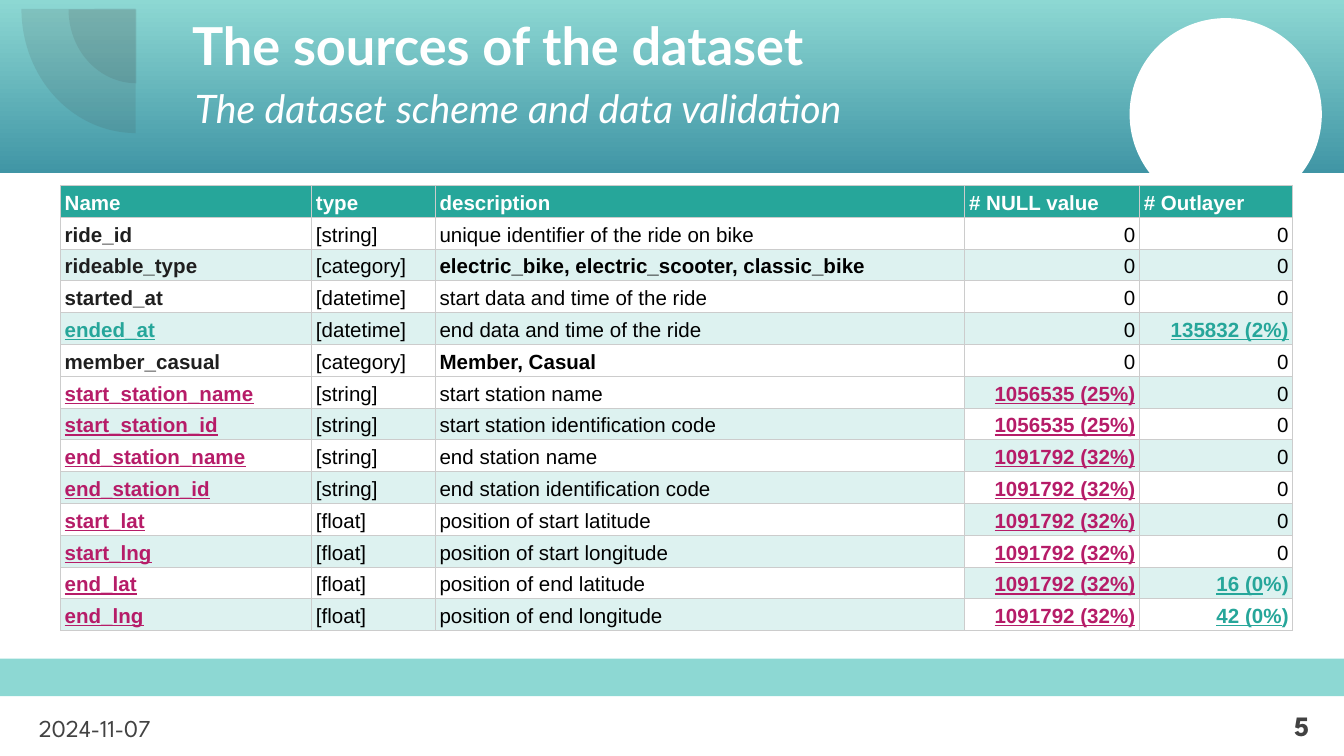
from dataclasses import dataclass

from lxml import etree
from pptx import Presentation
from pptx.dml.color import RGBColor
from pptx.enum.shapes import MSO_SHAPE
from pptx.enum.text import MSO_ANCHOR, MSO_AUTO_SIZE, PP_ALIGN
from pptx.oxml.ns import qn
from pptx.util import Inches, Pt

RECTANGLE, OVAL, PIE = MSO_SHAPE.RECTANGLE, MSO_SHAPE.OVAL, MSO_SHAPE.PIE
LEFT, RIGHT = PP_ALIGN.LEFT, PP_ALIGN.RIGHT
TOP, MIDDLE, BOTTOM = MSO_ANCHOR.TOP, MSO_ANCHOR.MIDDLE, MSO_ANCHOR.BOTTOM
NO_AUTOFIT = MSO_AUTO_SIZE.NONE

WHITE = RGBColor(0xFF, 0xFF, 0xFF)
BLACK = RGBColor(0x00, 0x00, 0x00)
INK = RGBColor(0x1F, 0x1F, 0x1F)
GRAY = RGBColor(0x42, 0x42, 0x42)
AQUA = RGBColor(0x8D, 0xD8, 0xD3)
OCEAN = RGBColor(0x40, 0x95, 0xA5)
TEAL = RGBColor(0x26, 0xA6, 0x9A)
TINT = RGBColor(0xDD, 0xF2, 0xF0)
PINK = RGBColor(0xB6, 0x1C, 0x68)
GRID = RGBColor(0xCC, 0xCC, 0xCC)

SLIDE_WIDTH = Inches(10)
SLIDE_HEIGHT = SLIDE_WIDTH * 9 // 16
HEADINGS = ("Name", "type", "description", "# NULL value", "# Outlayer")
COLUMN_WIDTHS = (1.87, 0.92, 3.94, 1.3, 1.14)
ROW_HEIGHT = 0.22
COUNT_COLUMN = 3
STATION_ROW = 6


@dataclass
class Field:
    name: str
    kind: str
    description: str
    nulls: str = "0"
    outliers: str = "0"
    outliers_tail: str = ""


@dataclass
class Style:
    size: float
    font: str
    color: RGBColor
    bold: bool = False
    italic: bool = False
    underline: bool = False


FIELDS = (
    Field("ride_id", "[string]", "unique identifier of the ride on bike"),
    Field("rideable_type", "[category]", "electric_bike, electric_scooter, classic_bike"),
    Field("started_at", "[datetime]", "start data and time of the ride"),
    Field("ended_at", "[datetime]", "end data and time of the ride", outliers="135832 (2%)"),
    Field("member_casual", "[category]", "Member, Casual"),
    Field("start_station_name", "[string]", "start station name", "1056535 (25%)"),
    Field("start_station_id", "[string]", "start station identification code", "1056535 (25%)"),
    Field("end_station_name", "[string]", "end station name", "1091792 (32%)"),
    Field("end_station_id", "[string]", "end station identification code", "1091792 (32%)"),
    Field("start_lat", "[float]", "position of start latitude", "1091792 (32%)"),
    Field("start_lng", "[float]", "position of start longitude", "1091792 (32%)"),
    Field("end_lat", "[float]", "position of end latitude", "1091792 (32%)", "16 (0", "%)"),
    Field("end_lng", "[float]", "position of end longitude", "1091792 (32%)", "42 (0%", ")"),
)


def cell_style(color: RGBColor, bold: bool = False, underline: bool = False) -> Style:
    return Style(11, "Arial", color, bold, underline=underline)


HEADING = cell_style(WHITE, bold=True)
PLAIN = cell_style(BLACK)
STRONG = cell_style(BLACK, bold=True)
NAME = cell_style(INK, bold=True)
NULL_ALERT = cell_style(PINK, bold=True, underline=True)
OUTLIER_ALERT = cell_style(TEAL, bold=True, underline=True)
OUTLIER_TAIL = cell_style(TEAL, bold=True)


def apply_style(run, style: Style) -> None:
    font = run.font
    font.size, font.name = Pt(style.size), style.font
    font.bold, font.italic, font.underline = style.bold, style.italic, style.underline
    font.color.rgb = style.color


def add_shape(slide, preset, left: float, top: float, width: float, height: float, color: RGBColor):
    shape = slide.shapes.add_shape(preset, Inches(left), Inches(top), Inches(width), Inches(height))
    shape.shadow.inherit = False
    shape.fill.solid()
    shape.fill.fore_color.rgb = color
    shape.line.fill.background()
    return shape


def add_quarter(slide, left: float, top: float, width: float, height: float) -> None:
    quarter = add_shape(slide, PIE, left, top, width, height, GRAY)
    quarter.adjustments[0], quarter.adjustments[1] = 54, 108
    color = quarter.fill._xPr.find(qn("a:solidFill"))[0]
    etree.SubElement(color, qn("a:alpha"), val="13000")


def write_text(box, text: str, style: Style, align=LEFT, anchor=TOP,
               inset_left: float = 0.1, inset_right: float = 0.1) -> None:
    frame = box.text_frame
    frame.text = text
    frame.word_wrap = True
    frame.auto_size = NO_AUTOFIT
    frame.vertical_anchor = anchor
    frame.margin_left, frame.margin_right = Inches(inset_left), Inches(inset_right)
    frame.margin_top = frame.margin_bottom = Inches(0.1)
    paragraph = frame.paragraphs[0]
    paragraph.alignment = align
    apply_style(paragraph.runs[0], style)


def add_text_box(slide, left: float, top: float, width: float, height: float):
    return slide.shapes.add_textbox(Inches(left), Inches(top), Inches(width), Inches(height))


def add_borders(cell) -> None:
    properties = cell._tc.get_or_add_tcPr()
    for position, side in enumerate(("a:lnL", "a:lnR", "a:lnT", "a:lnB")):
        line = etree.Element(qn(side), w=str(Pt(0.6)))
        properties.insert(position, line)
        fill = etree.SubElement(line, qn("a:solidFill"))
        etree.SubElement(fill, qn("a:srgbClr"), val=str(GRID))


def fill_cell(cell, text: str, style: Style, color: RGBColor, align=LEFT, tail: str = "") -> None:
    cell.fill.solid()
    cell.fill.fore_color.rgb = color
    add_borders(cell)
    cell.vertical_anchor = BOTTOM
    cell.margin_left = cell.margin_right = Pt(2.25)
    cell.margin_top = cell.margin_bottom = Pt(1.5)
    cell.text_frame.text = text
    paragraph = cell.text_frame.paragraphs[0]
    paragraph.alignment = align
    paragraph.line_spacing = 1.15
    apply_style(paragraph.runs[0], style)
    if tail:
        rest = paragraph.add_run()
        rest.text = tail
        apply_style(rest, OUTLIER_TAIL)


def field_styles(field: Field) -> tuple[Style, ...]:
    null_style = PLAIN if field.nulls == "0" else NULL_ALERT
    outlier_style = PLAIN if field.outliers == "0" else OUTLIER_ALERT
    alerts = [style for style in (null_style, outlier_style) if style is not PLAIN]
    name_style = alerts[0] if alerts else NAME
    description_style = STRONG if field.kind == "[category]" else PLAIN
    return name_style, PLAIN, description_style, null_style, outlier_style


def add_scheme(slide) -> None:
    row_count = len(FIELDS) + 1
    scheme = slide.shapes.add_table(row_count, len(HEADINGS), Inches(0.45), Inches(1.38),
                                    Inches(sum(COLUMN_WIDTHS)), Inches(ROW_HEIGHT * row_count)).table
    for column, width in zip(scheme.columns, COLUMN_WIDTHS):
        column.width = Inches(width)
    for index, heading in enumerate(HEADINGS):
        fill_cell(scheme.cell(0, index), heading, HEADING, TEAL)
    for row, field in enumerate(FIELDS, start=1):
        texts = (field.name, field.kind, field.description, field.nulls, field.outliers)
        for index, (text, style) in enumerate(zip(texts, field_styles(field))):
            is_count = index >= COUNT_COLUMN
            shift = row >= STATION_ROW and not is_count
            color = WHITE if (row + shift) % 2 else TINT
            tail = field.outliers_tail if index == len(HEADINGS) - 1 else ""
            fill_cell(scheme.cell(row, index), text, style, color, RIGHT if is_count else LEFT, tail)


def main() -> None:
    presentation = Presentation()
    presentation.slide_width, presentation.slide_height = SLIDE_WIDTH, SLIDE_HEIGHT
    slide = presentation.slides.add_slide(presentation.slide_layouts[5])

    banner = add_shape(slide, RECTANGLE, 0, 0, 10, 1.29, AQUA)
    banner.fill.gradient()
    banner.fill.gradient_angle = 270
    for stop, color, position in zip(banner.fill.gradient_stops, (AQUA, OCEAN), (0, 1)):
        stop.color.rgb, stop.position = color, position
    add_quarter(slide, 0.51, -0.48, 1.01, 1.1)
    add_quarter(slide, 0.16, -0.86, 1.7, 1.85)
    disc = add_shape(slide, OVAL, 8.41, 0.14, 1.42, 1.42, WHITE)
    disc.line.color.rgb, disc.line.width = WHITE, Pt(0.75)
    add_shape(slide, RECTANGLE, 0, 4.9, 10, 0.28, AQUA)

    date = add_text_box(slide, 0.19, 5.21, 1.85, 0.2)
    write_text(date, "2024-11-07", Style(13, "League Spartan", GRAY))
    title = slide.shapes.title
    title.left, title.top, title.width, title.height = Inches(1.13), 0, Inches(7.49), Inches(0.75)
    slide.shapes._spTree.append(title._element)
    write_text(title, "The sources of the dataset", Style(28, "Lato", WHITE, bold=True),
               inset_left=0.3, inset_right=0.4)
    page = add_text_box(slide, 9.24, 5.18, 0.6, 0.43)
    write_text(page, "5", Style(15, "League Spartan", GRAY, bold=True), RIGHT, MIDDLE)
    add_scheme(slide)
    subtitle = add_text_box(slide, 1.15, 0.53, 7.49, 0.75)
    write_text(subtitle, "The dataset scheme and data validation",
               Style(21, "Lato", WHITE, italic=True), inset_left=0.3, inset_right=0.4)
    presentation.save("out.pptx")


if __name__ == "__main__":
    main()
